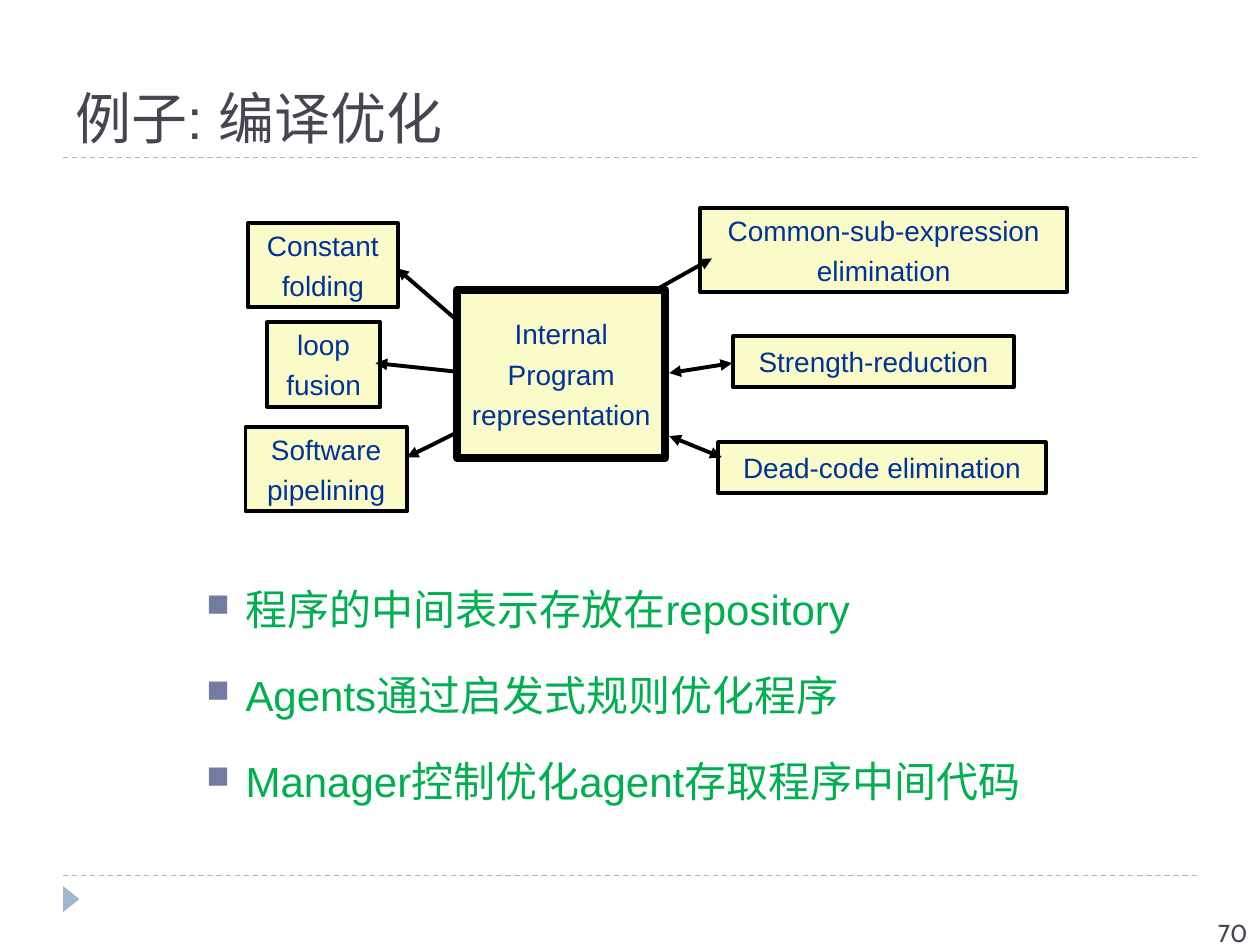
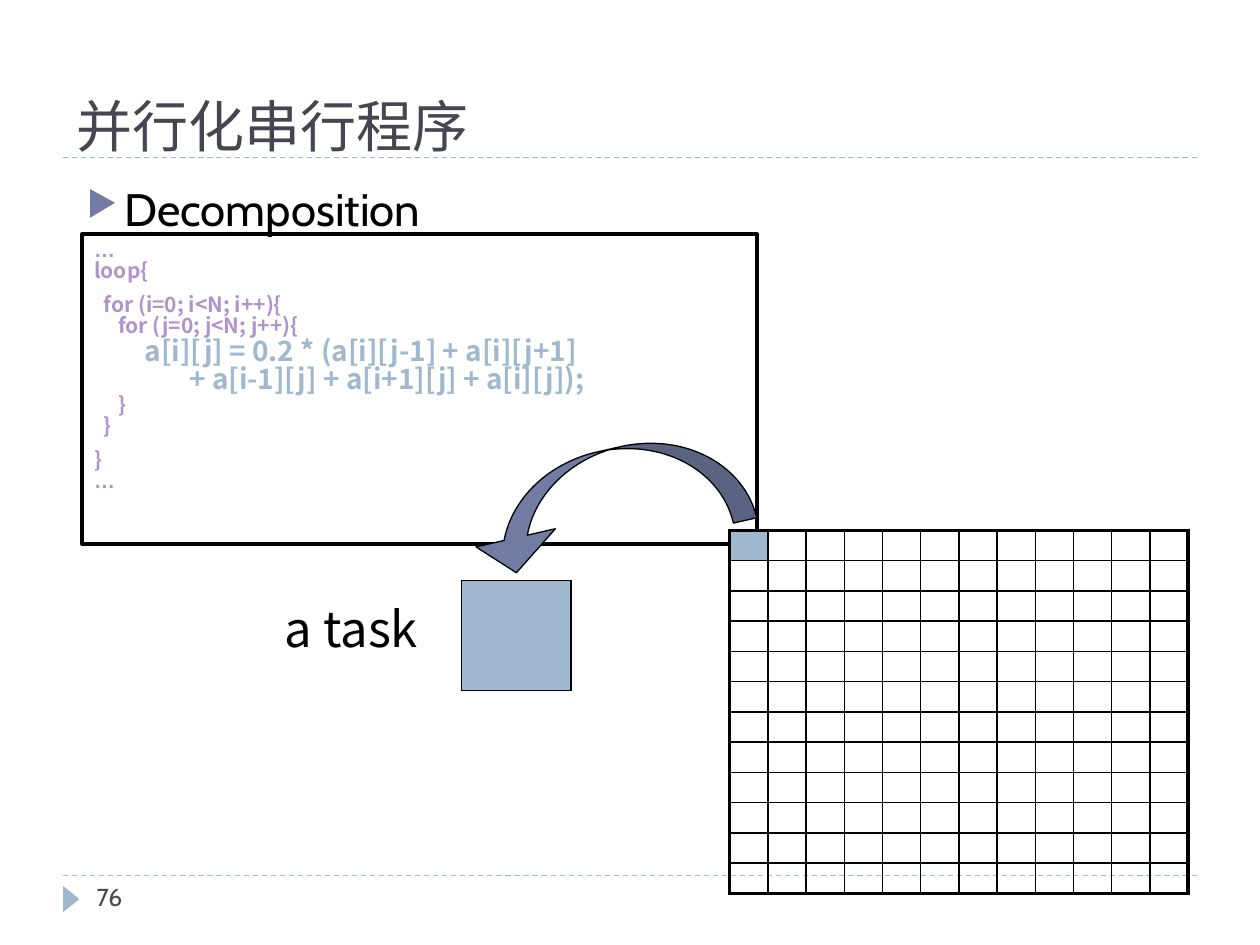
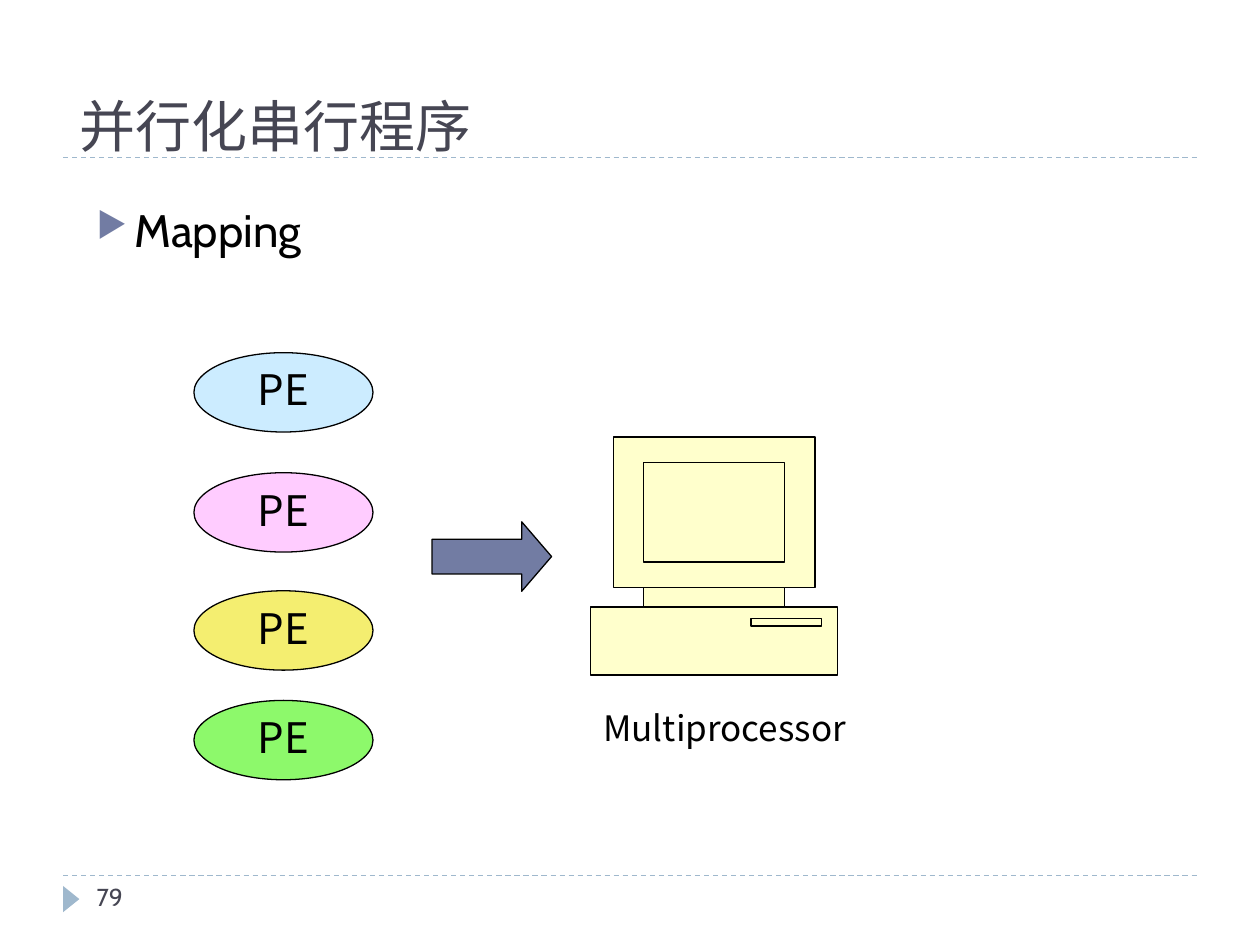
import copy

from lxml import etree
from pptx import Presentation
from pptx import util as u
from pptx.dml.color import RGBColor
from pptx.enum import dml, shapes, text
from pptx.oxml import ns

BLACK, WHITE = "000000", "FFFFFF"
SLATE, MIST, INDIGO = "464653", "9FB8CD", "727CA3"
CREAM, NAVY, GREEN, VIOLET = "FBFAC9", "003399", "00B050", "B292CA"
SCREEN_YELLOW = "FFFFCC"
ARIAL, CABIN, SLAB, SANS = "Arial", "Cabin", "Roboto Slab", "Noto Sans CJK JP"

RECT = shapes.MSO_SHAPE.RECTANGLE
CENTER, RIGHT = text.PP_ALIGN.CENTER, text.PP_ALIGN.RIGHT
MIDDLE, BOTTOM = text.MSO_ANCHOR.MIDDLE, text.MSO_ANCHOR.BOTTOM


def color(value):
    return RGBColor.from_string(value)


def lengths(*values):
    return [u.Cm(value) for value in values]


def add_xml(parent, tag, **attributes):
    return etree.SubElement(parent, ns.qn(tag), attributes)


def add_bullet(paragraph, char, percent, indent):
    properties = paragraph._p.get_or_add_pPr()
    properties.set("marL", str(u.Cm(indent)))
    properties.set("indent", str(-u.Cm(indent)))
    add_xml(add_xml(properties, "a:buClr"), "a:srgbClr", val=INDIGO)
    add_xml(properties, "a:buSzPct", val=str(percent * 1000))
    add_xml(properties, "a:buChar", char=char)


def add_span(paragraph, words, size, font, ink, bold):
    """Add one run; each line feed becomes a line break of the same size."""
    for number, line in enumerate(words.split("\n")):
        if number:
            paragraph.add_line_break()
            paragraph._p[-1].append(copy.deepcopy(span._r.rPr))
        if line:
            span = paragraph.add_run()
            span.text = line
            span.font.size, span.font.name = u.Pt(size), font
            span.font.bold = bold
            span.font.color.rgb = color(ink)


def write(frame, paragraphs, size=16, font=ARIAL, ink=BLACK, bold=False,
          align=None, anchor=text.MSO_ANCHOR.TOP, wrap=True, before=0,
          spacing=None, bullet=None):
    """Fill a text frame; a paragraph is a string or a list of (text, format)."""
    frame.word_wrap, frame.vertical_anchor = wrap, anchor
    base = dict(size=size, font=font, ink=ink, bold=bold)
    for number, content in enumerate(paragraphs):
        paragraph = frame.add_paragraph() if number else frame.paragraphs[0]
        paragraph.alignment = align or text.PP_ALIGN.LEFT
        if number and before:
            paragraph.space_before = u.Pt(before)
        if spacing:
            paragraph.line_spacing = spacing
        if bullet:
            add_bullet(paragraph, *bullet)
        spans = [(content, {})] if isinstance(content, str) else content
        for words, changes in spans:
            add_span(paragraph, words, **{**base, **changes})


class Builder:
    def __init__(self):
        self.deck = Presentation()
        self.deck.slide_width, self.deck.slide_height = lengths(25.4, 19.05)
        self.page = None

    def new_page(self):
        """Start a slide with the two dashed rules and the footer marker."""
        self.page = self.deck.slides.add_slide(self.deck.slide_layouts[6])
        for y in (17.65, 3.18):
            rule = self.line(1.27, y, 24.13, y, ink=MIST, width=0.75)
            rule.line.dash_style = dml.MSO_LINE.DASH
        self.shape(shapes.MSO_SHAPE.ISOSCELES_TRIANGLE, 1.17, 17.96, 0.53, 0.33,
                   MIST, width=0, turn=90)

    def paint(self, shape, fill, width):
        shape.shadow.inherit = False
        shape.fill.solid()
        shape.fill.fore_color.rgb = color(fill)
        if width:
            shape.line.color.rgb = color(BLACK)
            shape.line.width = u.Pt(width)
        else:
            shape.line.fill.background()

    def shape(self, kind, x, y, w, h, fill, width=0.75, turn=0, adjust=()):
        shape = self.page.shapes.add_shape(kind, *lengths(x, y, w, h))
        self.paint(shape, fill, width)
        shape.rotation = turn
        for number, value in enumerate(adjust):
            shape.adjustments[number] = value
        return shape

    def outline(self, points, fill):
        corners = [lengths(*point) for point in points]
        builder = self.page.shapes.build_freeform(*corners[0])
        builder.add_line_segments(corners[1:], close=True)
        self.paint(builder.convert_to_shape(), fill, 0.75)

    def line(self, x1, y1, x2, y2, ink=BLACK, width=2.25, arrows=False):
        line = self.page.shapes.add_connector(
            shapes.MSO_CONNECTOR.STRAIGHT, *lengths(x1, y1, x2, y2))
        line.line.color.rgb = color(ink)
        line.line.width = u.Pt(width)
        properties = line._element.spPr
        if arrows:
            stroke = properties.find(ns.qn("a:ln"))
            for end in ("a:headEnd", "a:tailEnd"):
                add_xml(stroke, end, type="triangle")
        add_xml(properties, "a:effectLst")
        return line

    def text(self, x, y, w, h, *paragraphs, **style):
        box = self.page.shapes.add_textbox(*lengths(x, y, w, h))
        write(box.text_frame, paragraphs, **style)

    def title(self, x, y, w, h, words, font=SLAB):
        self.text(x, y, w, h, words, size=32, font=font, ink=SLATE, anchor=BOTTOM)

    def number(self, value, x=1.7, y=17.65, w=5.51, h=1.02, align=None):
        self.text(x, y, w, h, value, size=14, font=CABIN, ink=SLATE, align=align)

    def topic(self, x, y, words):
        self.text(x, y, 18.82, 9.75, words, size=26, font=CABIN,
                  bullet=("▶", 76, 0.76))

    def label(self, x, y, w, h, words, size):
        self.text(x, y, w, h, words, size=size, font=SANS, spacing=0.9)

    def node(self, x, y, w, h, *lines, width=2.25):
        box = self.shape(RECT, x, y, w, h, CREAM, width)
        write(box.text_frame, lines, ink=NAVY, align=CENTER, anchor=MIDDLE,
              wrap=False, before=3.8)

    def grid(self, x, y, count, column, row):
        """Draw an empty square grid with a heavy frame and one filled cell."""
        table = self.page.shapes.add_table(
            count, count, *lengths(x, y, count * column, count * row)).table
        table.first_row = table.horz_banding = False
        last = count - 1
        for i in range(count):
            table.columns[i].width, table.rows[i].height = lengths(column, row)
            for j in range(count):
                cell = table.cell(i, j)
                cell.margin_top = cell.margin_bottom = 0
                add_xml(cell.text_frame.paragraphs[0]._p, "a:endParaRPr", sz="800")
                edges = {"a:lnL": j == 0, "a:lnR": j == last,
                         "a:lnT": i == 0, "a:lnB": i == last}
                for tag, heavy in edges.items():
                    border = add_xml(cell._tc.get_or_add_tcPr(), tag,
                                     w=str(u.Pt(2.25 if heavy else 1)))
                    add_xml(add_xml(border, "a:solidFill"), "a:srgbClr", val=BLACK)
                cell.fill.background()
        first = table.cell(0, 0)
        first.fill.solid()
        first.fill.fore_color.rgb = color(MIST)


def compiler_slide(b):
    b.new_page()
    b.number("70", 19.48, 18.39, 5.92, 0.66, align=RIGHT)
    b.title(1.27, 0.43, 22.86, 2.74, "例子: 编译优化", font=ARIAL)

    # Optimisation agents around the shared representation
    b.node(5, 4.5, 3.02, 1.7, "Constant", "folding")
    b.node(5.38, 6.5, 2.29, 1.7, "loop", "fusion")
    b.node(4.95, 8.61, 3.25, 1.7, "Software", "pipelining")
    b.node(14.12, 4.19, 7.39, 1.7, "Common-sub-expression", "elimination")
    b.node(14.78, 6.78, 5.66, 1.02, "Strength-reduction")
    b.node(14.48, 8.92, 6.6, 1.02, "Dead-code elimination")
    for ends in ((8, 5.41, 9.47, 6.68), (7.57, 7.32, 9.47, 7.52),
                 (8.2, 9.22, 9.47, 8.59), (14.35, 5.21, 12.85, 6.05),
                 (14.76, 7.32, 13.49, 7.52), (14.55, 9.22, 13.49, 8.79)):
        b.line(*ends, arrows=True)

    b.text(3.91, 11.13, 19.2, 5.99, "程序的中间表示存放在repository",
           "Agents通过启发式规则优化程序", "Manager控制优化agent存取程序中间代码",
           size=24, ink=GREEN, before=6, spacing=1.5, bullet=("■", 75, 0.79))
    b.node(9.22, 5.84, 4.19, 3.4, "Internal", "Program", "representation", width=4.5)


def decomposition_slide(b):
    b.new_page()

    # Loop code with the task statement emphasised
    code = b.shape(RECT, 1.65, 4.72, 13.61, 6.25, WHITE, width=2)
    ellipsis = {"font": ARIAL}
    write(code.text_frame, [
        [("…\n", ellipsis), ("loop{", {})],
        [("  for (i=0; i<N; i++){\n     for (j=0; j<N; j++){\n", {}),
         ("        a[i][j] = 0.2 * (a[i][j-1] + a[i][j+1]\n"
          "               + a[i-1][j] + a[i+1][j] + a[i][j]);\n",
          {"size": 16, "ink": MIST}),
         ("     }\n  }", {})],
        [("}\n", {}), ("…", ellipsis)],
    ], size=12, font=SANS, ink=VIOLET, bold=True, before=7, spacing=0.85)

    b.title(1.3, 0.74, 22.2, 2.59, "并行化串行程序")
    b.number("76")
    b.topic(1.5, 3.53, "Decomposition")

    # One grid cell becomes a task
    b.grid(14.71, 10.69, 12, 0.77, 0.61)
    b.shape(shapes.MSO_SHAPE.CURVED_RIGHT_ARROW, 11.2, 7.21, 2.01, 5.79, INDIGO,
            turn=77.1, adjust=(0.239, 0.818, 0.343))
    b.shape(RECT, 9.3, 11.71, 2.21, 2.21, MIST)
    b.label(5.49, 12.07, 3.81, 1.45, "a task", 28)


def mapping_slide(b):
    b.new_page()
    b.title(1.35, 0.53, 22.35, 2.79, "并行化串行程序")
    b.number("79")
    b.topic(1.7, 3.94, "Mapping")

    # Processing elements
    for y, fill in ((7.11, "CCECFF"), (9.53, "FFCCFF"),
                    (11.91, "F4EE70"), (14.12, "8DF96B")):
        element = b.shape(shapes.MSO_SHAPE.OVAL, 3.91, y, 3.61, 1.6, fill)
        write(element.text_frame, ["PE"], size=24, font=SANS, align=CENTER,
              anchor=MIDDLE, wrap=False, spacing=0.9)

    # Computer: silhouette, then neck, screen and drive slot
    b.outline([(12.37, 8.81), (16.43, 8.81), (16.43, 11.84), (15.82, 11.84),
               (15.82, 12.24), (16.89, 12.24), (16.89, 13.61), (11.91, 13.61),
               (11.91, 12.24), (12.98, 12.24), (12.98, 11.84), (12.37, 11.84)],
              SCREEN_YELLOW)
    for part in ((12.98, 11.84, 2.84, 0.4), (12.98, 9.32, 2.84, 2.01),
                 (15.14, 12.47, 1.42, 0.15)):
        b.shape(RECT, *part, SCREEN_YELLOW)
    b.label(11.91, 14.22, 5.59, 1.09, "Multiprocessor", 20)
    b.shape(shapes.MSO_SHAPE.RIGHT_ARROW, 8.71, 10.52, 2.41, 1.4, INDIGO,
            adjust=(0.5, 0.43))


def main():
    builder = Builder()
    compiler_slide(builder)
    decomposition_slide(builder)
    mapping_slide(builder)
    builder.deck.save("out.pptx")


if __name__ == "__main__":
    main()
